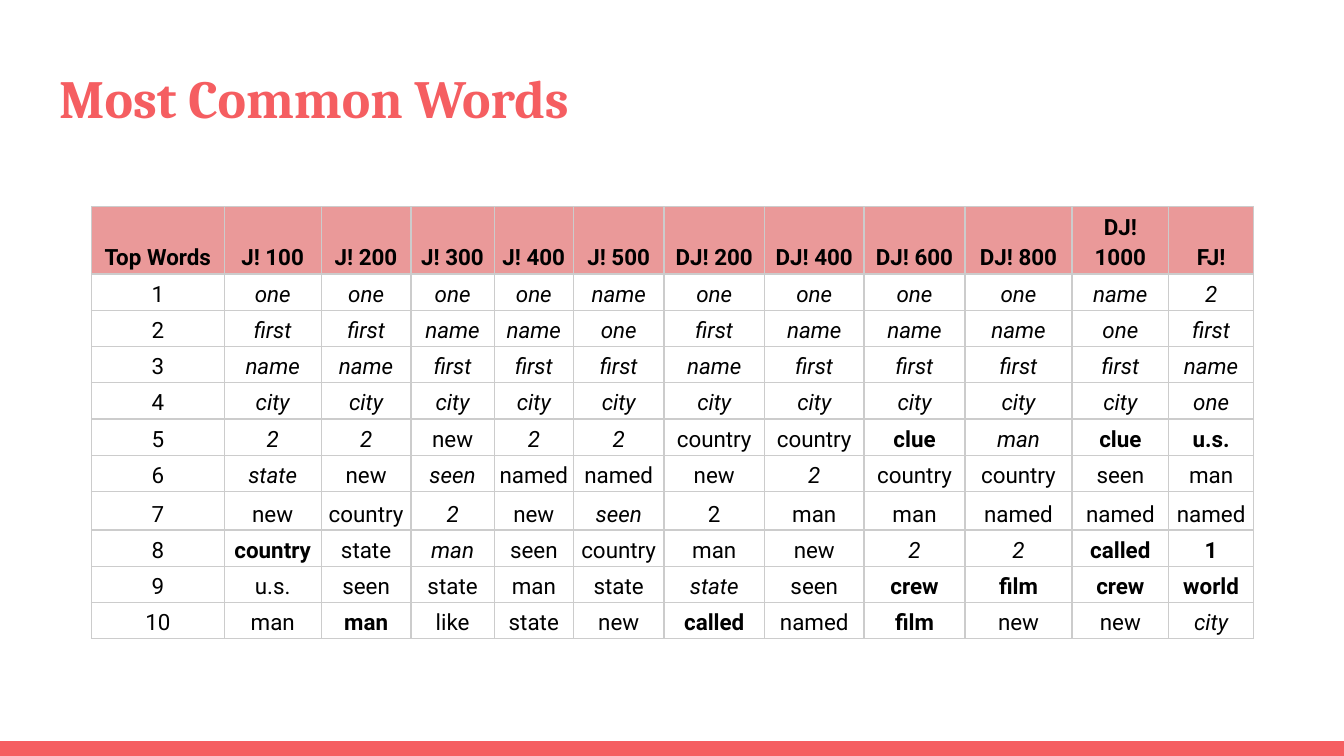
"""Build the slide listing the most common words per clue value."""
from lxml.etree import SubElement
from pptx import Presentation
from pptx.dml.color import RGBColor
from pptx.enum.shapes import MSO_SHAPE
from pptx.enum.text import MSO_ANCHOR, PP_ALIGN
from pptx.oxml.ns import qn
from pptx.util import Cm, Pt

COLORS = {"accent": "F55E61", "header": "EA9999", "border": "CCCCCC", "text": "000000"}
TITLE = "Most Common Words"
HEADERS = ["Top Words", "J! 100", "J! 200", "J! 300", "J! 400", "J! 500",
           "DJ! 200", "DJ! 400", "DJ! 600", "DJ! 800", "DJ! 1000", "FJ!"]
STYLES = {"/": {"italic": True}, "*": {"bold": True}}
RANKED_WORDS = [
    "/one /one /one /one /name /one /one /one /one /name /2",
    "/first /first /name /name /one /first /name /name /name /one /first",
    "/name /name /first /first /first /name /first /first /first /first /name",
    "/city /city /city /city /city /city /city /city /city /city /one",
    "/2 /2 new /2 /2 country country *clue /man *clue *u.s.",
    "/state new /seen named named new /2 country country seen man",
    "new country /2 new /seen 2 man man named named named",
    "*country state /man seen country man new /2 /2 *called *1",
    "u.s. seen state man state /state seen *crew *film *crew *world",
    "man *man like state new *called named *film new new /city",
]
COLUMN_WIDTHS = [2.51, 1.83, 1.7, 1.57, 1.5, 1.71, 1.9, 1.88, 1.91, 2.02, 1.83, 1.6]
HEADER_HEIGHT, ROW_HEIGHT = 0.97, 0.64
TALL_ROWS = {7: 0.73}


def color(name):
    return RGBColor.from_string(COLORS[name])


def write(frame, text, size=12, font="Roboto", tint="text", bold=False, italic=False,
          align=PP_ALIGN.CENTER, spacing=1.15):
    frame.word_wrap = True
    para = frame.paragraphs[0]
    para.alignment = align
    para.line_spacing = spacing
    span = para.add_run()
    span.text = text
    span.font.name, span.font.size = font, Pt(size)
    span.font.bold, span.font.italic = bold, italic
    span.font.color.rgb = color(tint)


def add_borders(cell):
    properties = cell._tc.get_or_add_tcPr()
    for side in ("a:lnL", "a:lnR", "a:lnT", "a:lnB"):
        line = SubElement(properties, qn(side), w=str(Pt(0.75)))
        fill = SubElement(line, qn("a:solidFill"))
        SubElement(fill, qn("a:srgbClr"), val=COLORS["border"])


def fill_cell(cell, text, header=False, **style):
    cell.margin_left = cell.margin_right = Cm(0.07)
    cell.margin_top = cell.margin_bottom = Cm(0.05)
    cell.vertical_anchor = MSO_ANCHOR.BOTTOM
    add_borders(cell)
    if header:
        cell.fill.solid()
        cell.fill.fore_color.rgb = color("header")
    else:
        cell.fill.background()
    write(cell.text_frame, text, **style)


def add_word_table(page):
    grid = page.shapes.add_table(
        len(RANKED_WORDS) + 1, len(HEADERS), Cm(1.73), Cm(3.91), Cm(sum(COLUMN_WIDTHS)),
        Cm(HEADER_HEIGHT + ROW_HEIGHT * len(RANKED_WORDS))).table
    grid.horz_banding = False
    for column, width in zip(grid.columns, COLUMN_WIDTHS):
        column.width = Cm(width)
    grid.rows[0].height = Cm(HEADER_HEIGHT)
    for index, label in enumerate(HEADERS):
        fill_cell(grid.cell(0, index), label, header=True, bold=True)
    for rank, words in enumerate(RANKED_WORDS, 1):
        grid.rows[rank].height = Cm(TALL_ROWS.get(rank, ROW_HEIGHT))
        for index, word in enumerate([str(rank), *words.split()]):
            fill_cell(grid.cell(rank, index), word.lstrip("/*"), **STYLES.get(word[0], {}))


def main():
    deck = Presentation()
    deck.slide_width, deck.slide_height = Cm(25.4), Cm(14.29)
    page = deck.slides.add_slide(deck.slide_layouts[6])

    bar = page.shapes.add_shape(MSO_SHAPE.RECTANGLE, 0, Cm(14.01), deck.slide_width, Cm(0.28))
    bar.shadow.inherit = False
    bar.fill.solid()
    bar.fill.fore_color.rgb = color("accent")
    bar.line.fill.background()

    title = page.shapes.add_textbox(Cm(0.87), Cm(1.1), Cm(23.67), Cm(1.72))
    write(title.text_frame, TITLE, size=28.8, font="Cambria", tint="accent", bold=True,
          align=PP_ALIGN.LEFT, spacing=1.0)
    title.text_frame.vertical_anchor = MSO_ANCHOR.TOP

    add_word_table(page)
    deck.save("out.pptx")


if __name__ == "__main__":
    main()
